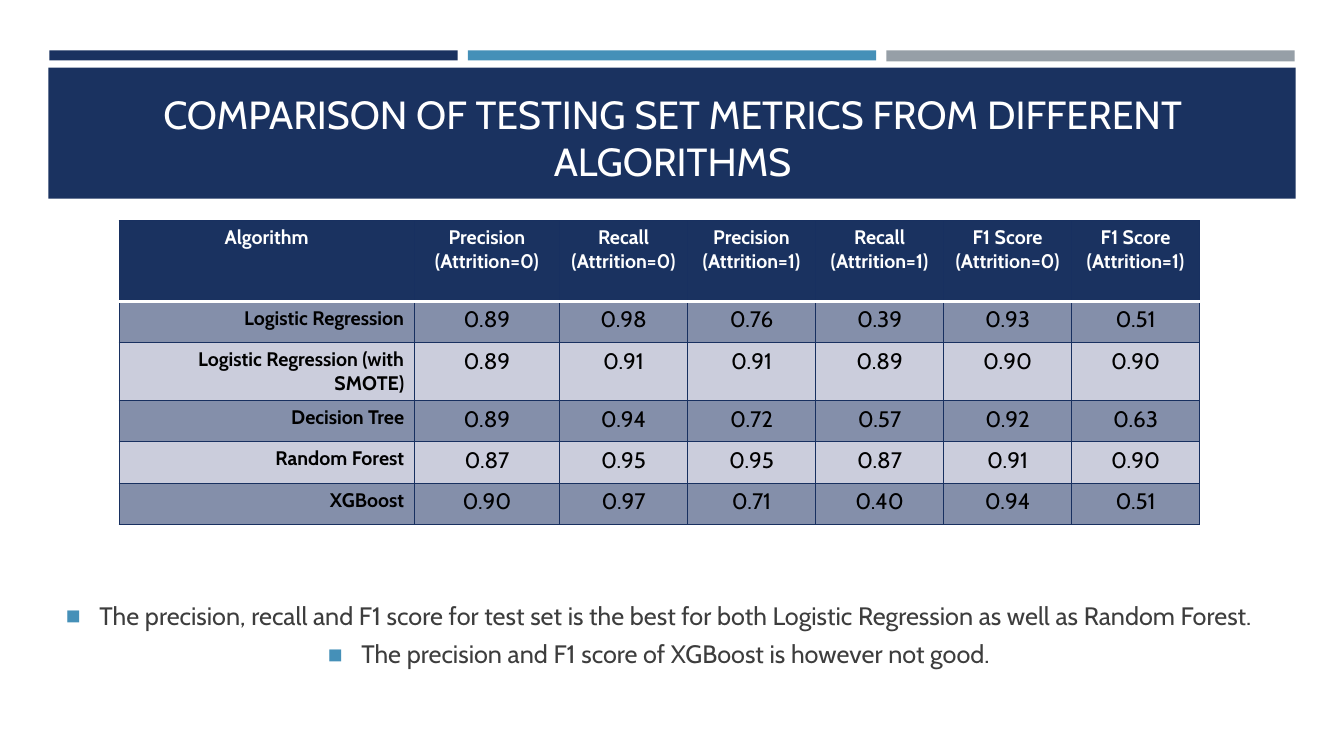
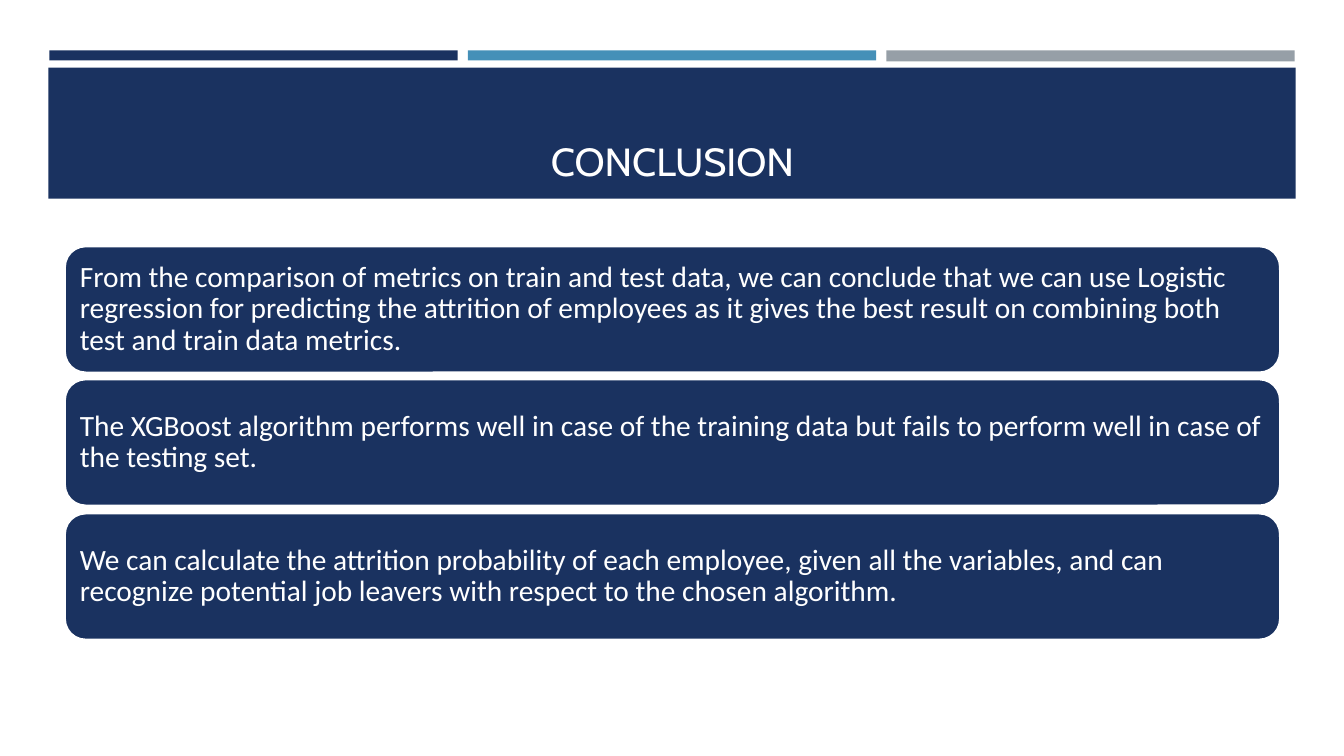
from dataclasses import dataclass

from lxml.etree import SubElement
from pptx import Presentation
from pptx.dml.color import RGBColor
from pptx.enum.shapes import MSO_SHAPE
from pptx.enum.text import MSO_ANCHOR, MSO_AUTO_SIZE, PP_ALIGN
from pptx.oxml import parse_xml
from pptx.oxml.ns import nsdecls, qn
from pptx.util import Emu, Pt

PX = 9144  # 100 px to the inch
COLORS = {
    "navy": "1A3260",
    "blue": "4590B8",
    "gray": "969FA7",
    "white": "FFFFFF",
    "black": "000000",
    "text": "3D3D3D",
    "border": "183060",
    "dark_row": "848FAA",
    "light_row": "CBCDDC",
}
HEADING_FONT = "Cabin"
CARD_FONT = "Calibri"


@dataclass(frozen=True)
class Box:
    left: int
    top: int
    width: int
    height: int

    def emu(self) -> tuple[Emu, ...]:
        return tuple(Emu(side * PX) for side in (self.left, self.top, self.width, self.height))


@dataclass(frozen=True)
class Band:
    box: Box
    color: str


BANDS = [
    Band(Box(49, 50, 405, 10), "navy"),
    Band(Box(464, 50, 405, 10), "blue"),
    Band(Box(879, 50, 405, 11), "gray"),
    Band(Box(48, 67, 1237, 130), "navy"),
]
TITLE_BOX = Box(64, 77, 1206, 111)

METRICS_BOX = Box(118, 219, 1072, 300)
COLUMN_WIDTHS = [293, 144] + [127] * 5
ROW_HEIGHTS = [80, 41, 56, 41, 41, 41]
METRICS = [
    ["Algorithm", "Precision (Attrition=0)", "Recall (Attrition=0)", "Precision (Attrition=1)",
     "Recall (Attrition=1)", "F1 Score (Attrition=0)", "F1 Score (Attrition=1)"],
    ["Logistic Regression", "0.89", "0.98", "0.76", "0.39", "0.93", "0.51"],
    ["Logistic Regression (with SMOTE)", "0.89", "0.91", "0.91", "0.89", "0.90", "0.90"],
    ["Decision Tree", "0.89", "0.94", "0.72", "0.57", "0.92", "0.63"],
    ["Random Forest", "0.87", "0.95", "0.95", "0.87", "0.91", "0.90"],
    ["XGBoost", "0.90", "0.97", "0.71", "0.40", "0.94", "0.51"],
]
FINDINGS = [
    "The precision, recall and F1 score for test set is the best for both Logistic Regression "
    "as well as Random Forest.",
    "The precision and F1 score of XGBoost is however not good.",
]
CONCLUSIONS = [
    "From the comparison of metrics on train and test data, we can conclude that we can use "
    "Logistic regression for predicting the attrition of employees as it gives the best result "
    "on combining both test and train data metrics.",
    "The XGBoost algorithm performs well in case of the training data but fails to perform well "
    "in case of the testing set.",
    "We can calculate the attrition probability of each employee, given all the variables, and "
    "can recognize potential job leavers with respect to the chosen algorithm.",
]


def rgb(name: str) -> RGBColor:
    return RGBColor.from_string(COLORS[name])


def write(para, text: str, *, size: int, color: str, font: str = HEADING_FONT,
          bold: bool = False, align=PP_ALIGN.CENTER, line_spacing: float | None = None) -> None:
    para.alignment = align
    para.line_spacing = line_spacing
    span = para.add_run()
    span.text = text
    span.font.name = font
    span.font.size = Pt(size)
    span.font.bold = bold
    span.font.color.rgb = rgb(color)


def set_frame(frame, *, inset: int, anchor) -> None:
    frame.word_wrap = True
    frame.auto_size = MSO_AUTO_SIZE.NONE
    frame.vertical_anchor = anchor
    frame.margin_left = frame.margin_right = Emu(inset * PX)
    frame.margin_top = frame.margin_bottom = Emu(inset * PX)


def add_block(page, kind, box: Box, color: str, outline: str | None = None):
    block = page.shapes.add_shape(kind, *box.emu())
    block.shadow.inherit = False
    block.fill.solid()
    block.fill.fore_color.rgb = rgb(color)
    if outline:
        block.line.color.rgb = rgb(outline)
        block.line.width = Pt(2)
    else:
        block.line.fill.background()
    return block


def move_bands_to_layout(page, layout) -> None:
    """Draw the shared bands and hand them to the layout, behind its placeholders."""
    for index, band in enumerate(BANDS):
        element = add_block(page, MSO_SHAPE.RECTANGLE, band.box, band.color)._element
        element.nvSpPr.cNvPr.set("id", str(100 + index))
        layout.shapes._spTree.insert(2 + index, element)


def add_page(deck, layout, title: str):
    page = deck.slides.add_slide(layout)
    box = page.shapes.title
    box.left, box.top, box.width, box.height = TITLE_BOX.emu()
    set_frame(box.text_frame, inset=5, anchor=MSO_ANCHOR.BOTTOM)
    write(box.text_frame.paragraphs[0], title, size=28, color="white")
    return page


def set_bullet(para) -> None:
    props = para._p.get_or_add_pPr()
    props.set("marL", str(33 * PX))
    props.set("indent", str(-33 * PX))
    color = SubElement(props, qn("a:buClr"))
    SubElement(color, qn("a:srgbClr"), val=COLORS["blue"])
    SubElement(props, qn("a:buSzPct"), val="92000")
    SubElement(props, qn("a:buFont"), typeface=HEADING_FONT)
    SubElement(props, qn("a:buChar"), char="◼")


def set_borders(cell, **sides: tuple[str, float]) -> None:
    """Sides are given in schema order: L, R, T, B."""
    props = cell._tc.get_or_add_tcPr()
    for index, (side, (color, points)) in enumerate(sides.items()):
        props.insert(index, parse_xml(
            f'<a:ln{side} {nsdecls("a")} w="{int(Pt(points))}"><a:solidFill>'
            f'<a:srgbClr val="{COLORS[color]}"/></a:solidFill></a:ln{side}>'))


def add_metrics_table(page) -> None:
    table = page.shapes.add_table(len(METRICS), len(METRICS[0]), *METRICS_BOX.emu()).table
    for column, width in zip(table.columns, COLUMN_WIDTHS):
        column.width = Emu(width * PX)
    thin, thick = ("border", 0.75), ("white", 2)
    for row_index, (values, height) in enumerate(zip(METRICS, ROW_HEIGHTS)):
        table.rows[row_index].height = Emu(height * PX)
        header = row_index == 0
        fill = "navy" if header else "dark_row" if row_index % 2 else "light_row"
        for column_index, value in enumerate(values):
            cell = table.cell(row_index, column_index)
            cell.fill.solid()
            cell.fill.fore_color.rgb = rgb(fill)
            set_borders(cell, L=thin, R=thin, T=thick if row_index == 1 else thin,
                        B=thick if header else thin)
            label = column_index == 0
            write(cell.text_frame.paragraphs[0], value,
                  size=14 if header or label else 16,
                  color="white" if header else "black",
                  bold=header or label,
                  align=PP_ALIGN.RIGHT if label and not header else PP_ALIGN.CENTER)


def add_findings(page) -> None:
    frame = page.shapes.add_textbox(*Box(38, 530, 1231, 199).emu()).text_frame
    set_frame(frame, inset=5, anchor=MSO_ANCHOR.MIDDLE)
    for index, finding in enumerate(FINDINGS):
        para = frame.add_paragraph() if index else frame.paragraphs[0]
        para.space_before = Pt(6)
        write(para, finding, size=18, color="text")
        set_bullet(para)


def add_conclusion_cards(page) -> None:
    top, bottom, height = 244, 635, 126
    for index, conclusion in enumerate(CONCLUSIONS):
        offset = index * (bottom - top - height) // (len(CONCLUSIONS) - 1)
        card = add_block(page, MSO_SHAPE.ROUNDED_RECTANGLE,
                         Box(64, top + offset, 1206, height), "navy", outline="white")
        set_frame(card.text_frame, inset=9, anchor=MSO_ANCHOR.MIDDLE)
        write(card.text_frame.paragraphs[0], conclusion, size=21, color="white",
              font=CARD_FONT, align=PP_ALIGN.LEFT, line_spacing=0.9)


def main() -> None:
    deck = Presentation()
    deck.slide_width, deck.slide_height = Emu(1333 * PX), Emu(750 * PX)
    layout = deck.slide_layouts.get_by_name("Title Only")

    # Metrics comparison
    page = add_page(deck, layout, "COMPARISON OF TESTING SET METRICS FROM DIFFERENT ALGORITHMS")
    move_bands_to_layout(page, layout)
    add_findings(page)
    add_metrics_table(page)

    # Conclusion
    page = add_page(deck, layout, "CONCLUSION")
    add_conclusion_cards(page)

    deck.save("out.pptx")


if __name__ == "__main__":
    main()
